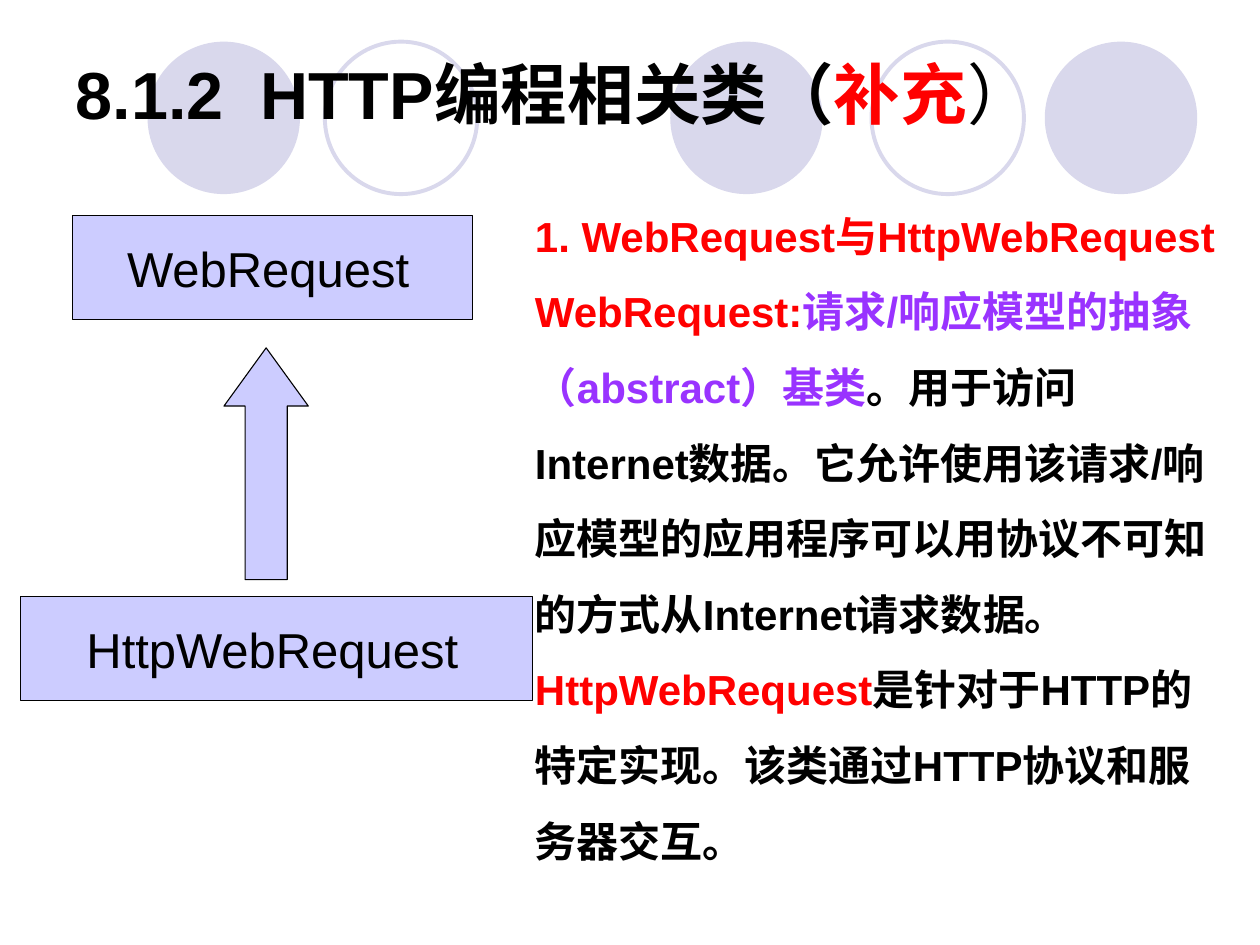
from pptx import Presentation
from pptx.dml.color import RGBColor
from pptx.enum.shapes import MSO_SHAPE
from pptx.enum.text import MSO_ANCHOR, MSO_AUTO_SIZE, PP_ALIGN
from pptx.util import Pt

OVAL, RECTANGLE, UP_ARROW = MSO_SHAPE.OVAL, MSO_SHAPE.RECTANGLE, MSO_SHAPE.UP_ARROW
MIDDLE, TOP = MSO_ANCHOR.MIDDLE, MSO_ANCHOR.TOP
LEFT, CENTER = PP_ALIGN.LEFT, PP_ALIGN.CENTER
NO_FIT = MSO_AUTO_SIZE.NONE

BLACK, RED, PURPLE = "000000", "FF0000", "9933FF"
LAVENDER, PERIWINKLE = "D9D8EC", "CCCCFF"


def color(value):
    return RGBColor.from_string(value)


class SlideBuilder:
    font = "Arial"
    circle_top, circle_size = 23.8, 87.1

    def __init__(self, slide):
        self.slide = slide

    def shape(self, kind, box, fill=None, line=None, width=0.62):
        item = self.slide.shapes.add_shape(kind, *map(Pt, box))
        item.shadow.inherit = False
        if fill:
            item.fill.solid()
            item.fill.fore_color.rgb = color(fill)
        else:
            item.fill.background()
        if line:
            item.line.color.rgb = color(line)
            item.line.width = Pt(width)
        else:
            item.line.fill.background()
        return item

    def circle(self, left, fill=None, line=None):
        box = (left, self.circle_top, self.circle_size, self.circle_size)
        self.shape(OVAL, box, fill, line, 2.25)

    def add_runs(self, frame, paragraphs, align, anchor, spacing=None):
        frame.vertical_anchor = anchor
        frame.auto_size = NO_FIT
        for index, runs in enumerate(paragraphs):
            paragraph = frame.add_paragraph() if index else frame.paragraphs[0]
            paragraph.alignment = align
            if spacing:
                paragraph.line_spacing = spacing
            for text, size, tint, bold in runs:
                run = paragraph.add_run()
                run.text = text
                run.font.name = self.font
                run.font.size = Pt(size)
                run.font.bold = bold
                run.font.color.rgb = color(tint)

    def title(self, box, runs):
        heading = self.slide.shapes.title
        heading.left, heading.top, heading.width, heading.height = map(Pt, box)
        self.slide.shapes._spTree.append(heading._element)
        heading.text_frame.word_wrap = True
        self.add_runs(heading.text_frame, [runs], LEFT, MIDDLE)

    def class_box(self, box, name):
        item = self.shape(RECTANGLE, box, PERIWINKLE, BLACK)
        item.text_frame.word_wrap = False
        runs = [(name, 28, BLACK, False), (" ", 18, BLACK, False)]
        self.add_runs(item.text_frame, [runs], CENTER, MIDDLE)

    def inheritance_arrow(self, box):
        arrow = self.shape(UP_ARROW, box, PERIWINKLE, BLACK)
        arrow.adjustments[0] = 0.5
        arrow.adjustments[1] = 0.69

    def text(self, box, paragraphs):
        item = self.slide.shapes.add_textbox(*map(Pt, box))
        item.text_frame.word_wrap = True
        styled = [[(words, 24, tint, True) for words, tint in runs] for runs in paragraphs]
        self.add_runs(item.text_frame, styled, LEFT, TOP, 1.5)


def main():
    deck = Presentation()
    deck.slide_width, deck.slide_height = Pt(720), Pt(540)
    builder = SlideBuilder(deck.slides.add_slide(deck.slide_layouts[5]))

    for left in (383, 597, 84.3):
        builder.circle(left, fill=LAVENDER)
    for left in (498, 185.6):
        builder.circle(left, line=LAVENDER)

    builder.title((36, 21.6, 648, 62.6), [
        ("8.1.2  HTTP编程相关类（", 38, BLACK, True),
        ("补充", 38, RED, True),
        ("）", 38, BLACK, False),
    ])
    builder.class_box((11.6, 340.8, 293, 59.6), "HttpWebRequest")
    builder.class_box((41.2, 123, 229, 59.6), "WebRequest")
    builder.text((298.6, 102.2, 409.7, 439), [
        [("1. WebRequest与HttpWebRequest", RED)],
        [
            ("WebRequest:", RED),
            ("请求/响应模型的抽象（abstract）基类", PURPLE),
            ("。用于访问Internet数据。它允许使用该请求/响应模型的应用程序"
             "可以用协议不可知的方式从Internet请求数据。", BLACK),
        ],
        [
            ("HttpWebRequest", RED),
            ("是针对于HTTP的特定实现。该类通过HTTP协议和服务器交互。", BLACK),
        ],
    ])
    builder.inheritance_arrow((128, 198.8, 48.2, 132.5))
    deck.save("out.pptx")


if __name__ == "__main__":
    main()
